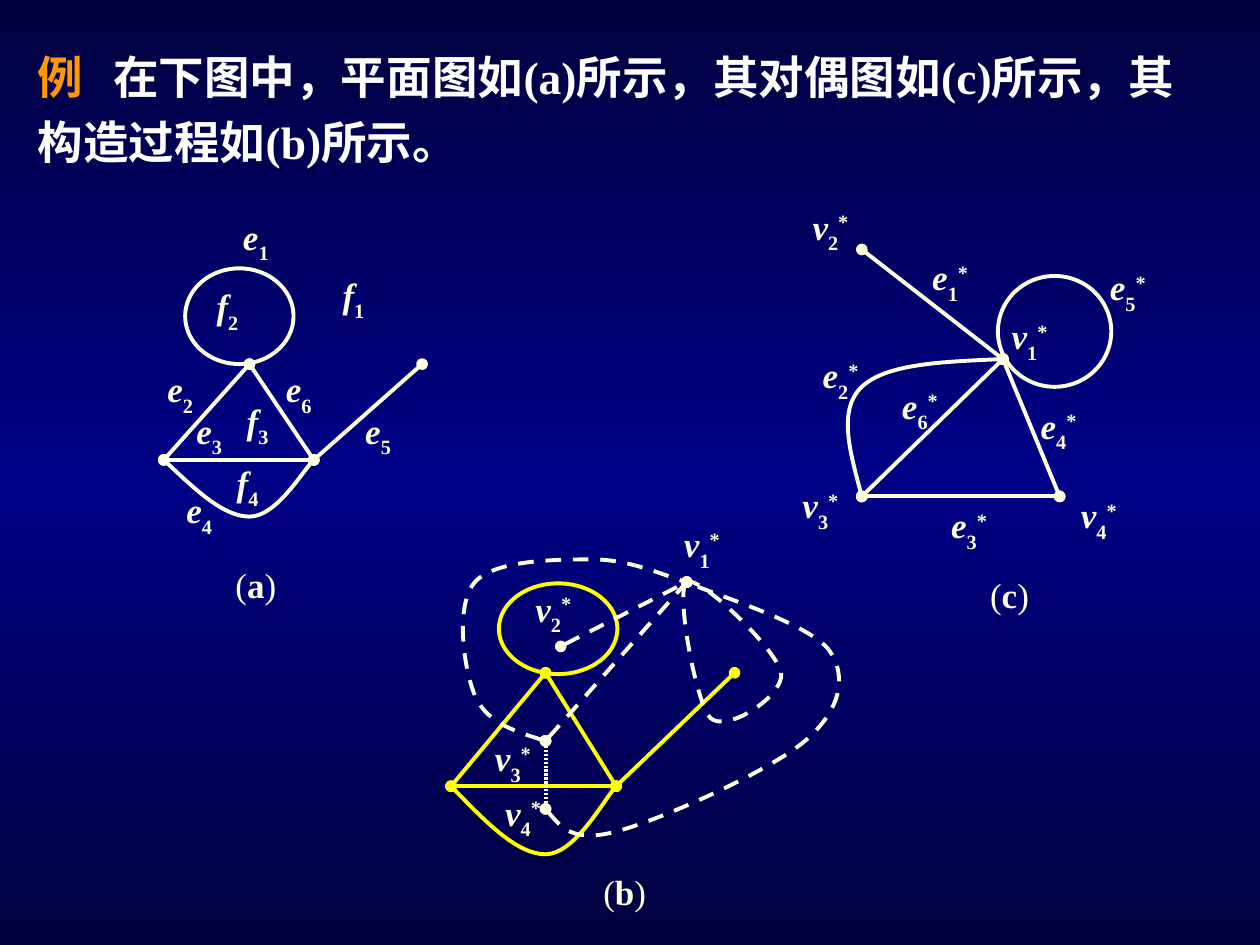
from dataclasses import dataclass
from copy import deepcopy
from lxml.etree import SubElement
from pptx import Presentation
from pptx.dml.color import RGBColor
from pptx.enum.dml import MSO_LINE_DASH_STYLE as Dash
from pptx.enum.shapes import MSO_CONNECTOR as Connector, MSO_SHAPE as Shape
from pptx.enum.text import MSO_ANCHOR as Anchor, MSO_AUTO_SIZE as AutoSize, PP_ALIGN as Align
from pptx.oxml.ns import qn
from pptx.util import Inches, Pt


@dataclass(frozen=True)
class Theme:
    font: str = "Times New Roman"
    title_size: int = 26
    label_size: int = 20
    line_width: float = 2.25
    cream: str = "FFFFE1"
    yellow: str = "FFFF00"
    orange: str = "FF9900"
    white: str = "FFFFFF"
    background: tuple = ("00003E", "000086", "00003E")


THEME = Theme()
COLUMNS, ROWS = 100, 75
CELL = Inches(0.1)
FINE_DOTS = "fine dots"


def color(name):
    return RGBColor.from_string(name)


def format_paragraph(paragraph, size, shade, bold):
    font = paragraph.font
    font.name, font.size, font.bold = THEME.font, Pt(size), bold
    font.color.rgb = color(shade)


def style_line(shape, shade, dash=None, ends=False):
    shape.line.color.rgb = color(shade)
    shape.line.width = Pt(THEME.line_width)
    properties = shape.element.spPr
    line = properties.find(qn("a:ln"))
    if dash == FINE_DOTS:
        pattern = SubElement(line, qn("a:custDash"))
        SubElement(pattern, qn("a:ds"), d="60000", sp="40000")
    elif dash:
        shape.line.dash_style = dash
    if ends:
        for end in ("a:headEnd", "a:tailEnd"):
            SubElement(line, qn(end), type="oval")
    if properties.find(qn("a:effectLst")) is None:
        SubElement(properties, qn("a:effectLst"))


def bend_segments(shape):
    outline = next(shape.element.iter(qn("a:path")))
    segments = outline.findall(qn("a:lnTo"))
    for index in range(0, len(segments), 3):
        bend = outline.makeelement(qn("a:cubicBezTo"))
        segments[index].addprevious(bend)
        for segment in segments[index:index + 3]:
            bend.append(segment[0])
            outline.remove(segment)


class Panel:
    def __init__(self, slide, column, row):
        self.column, self.row = column, row
        self.shapes = slide.shapes.add_group_shape().shapes

    def place(self, x, y):
        return round((self.column + x) * CELL), round((self.row + y) * CELL)

    def edge(self, start, end, shade=THEME.cream, dash=None):
        connector = self.shapes.add_connector(
            Connector.STRAIGHT, *self.place(*start), *self.place(*end))
        style_line(connector, shade, dash, ends=True)

    def loop(self, x, y, width, height, shade=THEME.cream):
        ellipse = self.shapes.add_shape(
            Shape.OVAL, *self.place(x, y), round(width * CELL), round(height * CELL))
        ellipse.fill.background()
        style_line(ellipse, shade)

    def curve(self, start, *controls, shade=THEME.cream, dash=None):
        closed = controls[-1] == start
        builder = self.shapes.build_freeform(*self.place(*start))
        builder.add_line_segments([self.place(*point) for point in controls], close=closed)
        shape = builder.convert_to_shape()
        bend_segments(shape)
        shape.fill.background()
        style_line(shape, shade, dash, ends=not closed)

    def text_line(self, x, y, width, height, bold):
        box = self.shapes.add_textbox(
            *self.place(x, y), round(width * CELL), round(height * CELL))
        box.text_frame.word_wrap = False
        box.text_frame.auto_size = AutoSize.SHAPE_TO_FIT_TEXT
        paragraph = box.text_frame.paragraphs[0]
        format_paragraph(paragraph, THEME.label_size, THEME.cream, bold)
        return paragraph

    def labels(self, positions):
        for symbol, (x, y) in positions.items():
            width = 5.2 if symbol.endswith("*") else 4.5 if symbol[0] == "f" else 4.8
            paragraph = self.text_line(x, y, width, 5, True)
            for character, baseline in zip(symbol, (0, -30000, 30000)):
                run = paragraph.add_run()
                run.text = character
                run.font.italic = baseline == 0
                if baseline:
                    run._r.get_or_add_rPr().set("baseline", str(baseline))

    def caption(self, letter, x, y):
        paragraph = self.text_line(x, y, 5.6, 4.4, False)
        for character in f"({letter})":
            run = paragraph.add_run()
            run.text = character
            run.font.bold = character == letter


def draw_plane_graph(panel, apex, left, right, leaf, loop, drop, shade):
    panel.loop(*loop, shade)
    for start, end in ((apex, left), (left, right), (apex, right), (right, leaf)):
        panel.edge(start, end, shade)
    base = left[1]
    bottom = apex[0], base + drop
    fall, rise = apex[0] - left[0], right[0] - apex[0]
    panel.curve(
        left, (left[0] + 0.35 * fall, base + drop / 2), (left[0] + 0.7 * fall, bottom[1]), bottom,
        (apex[0] + 0.39 * rise, bottom[1]), (apex[0] + 0.84 * rise, base + 0.18 * drop), right,
        shade=shade)


def add_plane_panel(slide, column, row):
    panel = Panel(slide, column, row)
    draw_plane_graph(panel, (7.8, 12.9), (1, 20.5), (12.9, 20.5), (21.5, 12.9),
                     (2.7, 5.3, 8.6, 7.6), 4.5, THEME.cream)
    panel.labels({
        "f1": (14.2, 5.2), "f2": (4.2, 6.1), "f3": (6.6, 15.2), "f4": (5.8, 20.1),
        "e1": (6.3, 0.6), "e2": (0.3, 12.7), "e3": (2.6, 16), "e4": (1.8, 22.3),
        "e5": (16, 16), "e6": (9.7, 12.7)})
    panel.caption("a", 5.7, 28.2)


def add_dual_panel(slide, column, row):
    panel = Panel(slide, column, row)
    v1, v2, v3, v4 = (17.6, 13.5), (6.4, 4.8), (6.4, 24.4), (22.1, 24.4)
    for start, end in ((v1, v3), (v1, v4), (v3, v4), (v2, v1)):
        panel.edge(start, end)
    panel.curve(v3, (5.5, 21), (4.5, 17.5), (6.4, 15.7), (8.3, 13.9), (12.9, 13.7), v1)
    panel.loop(17.2, 6.9, 9, 8.8)
    panel.labels({
        "v1*": (17.3, 9.5), "v2*": (1.5, 0.8), "v3*": (0.7, 22.9), "v4*": (22.8, 23.7),
        "e1*": (11, 4.8), "e2*": (2.3, 12.6), "e3*": (12.5, 24.5), "e4*": (19.6, 16.6),
        "e5*": (25.1, 5.6), "e6*": (8.6, 15)})
    panel.caption("c", 15.6, 30)


def add_construction_panel(slide, column, row):
    panel = Panel(slide, column, row)
    draw_plane_graph(panel, (8.3, 13.4), (0.8, 22.4), (13.9, 22.4), (23.3, 13.4),
                     (4.6, 6.3, 9.4, 7.2), 5.4, THEME.yellow)
    v1, v2, v3, v4 = (19.5, 6.2), (9.5, 11.3), (8.3, 18.8), (8.3, 24.2)
    panel.edge(v3, v1, dash=Dash.DASH)
    panel.edge(v3, v4, dash=FINE_DOTS)
    dual_curves = (
        (v1, (18.6, 6.8), (20.2, 15.8), (21.4, 17), (22.7, 18.2), (27.3, 15.2), (27, 13.4),
         (26.7, 11.6), (20.5, 5.6), v1),
        (v4, (9.4, 25.5), (10.5, 26.9), (13.9, 26), (17.4, 25.1), (26.1, 21.2), (28.9, 18.8),
         (31.7, 16.4), (32.3, 13.7), (30.8, 11.6), (29.2, 9.5), (21.4, 7.1), v1),
        (v3, (6, 18.1), (3.6, 17.3), (2.7, 15.2), (1.8, 13.1), (1.1, 8), (2.7, 6.2),
         (4.3, 4.4), (9.3, 4.4), (12.1, 4.4), (14.9, 4.4), (18.3, 5.9), v1))
    for points in dual_curves:
        panel.curve(*points, dash=Dash.DASH)
    panel.edge(v2, v1, dash=Dash.DASH)
    panel.labels({"v1*": (18.3, 1), "v2*": (6.5, 6.1), "v3*": (3.3, 18), "v4*": (4.1, 22.3)})
    panel.caption("b", 11.9, 28.6)


def add_title(slide, column, row, width, height):
    title = slide.shapes.title
    title.left, title.top = round(column * CELL), round(row * CELL)
    title.width, title.height = round(width * CELL), round(height * CELL)
    frame = title.text_frame
    frame.word_wrap, frame.auto_size = True, AutoSize.NONE
    frame.vertical_anchor = Anchor.TOP
    paragraph = frame.paragraphs[0]
    paragraph.alignment, paragraph.line_spacing = Align.LEFT, 1.2
    tabs = SubElement(paragraph._p.get_or_add_pPr(), qn("a:tabLst"))
    SubElement(tabs, qn("a:tab"), pos=str(6 * CELL), algn="l")
    format_paragraph(paragraph, THEME.title_size, THEME.white, True)
    example = paragraph.add_run()
    example.text = "例"
    example.font.color.rgb = color(THEME.orange)
    statement = paragraph.add_run()
    statement.text = "\t在下图中，平面图如(a)所示，其对偶图如(c)所示，其构造过程如(b)所示。"


def paint_background(slide):
    fill = slide.background.fill
    fill.gradient()
    fill.gradient_angle = 90
    stops = next(slide.element.iter(qn("a:gsLst")))
    stops.append(deepcopy(stops[0]))
    for index, (stop, shade) in enumerate(zip(fill.gradient_stops, THEME.background)):
        stop.position = index / 2
        stop.color.rgb = color(shade)


def main():
    presentation = Presentation()
    presentation.slide_width, presentation.slide_height = COLUMNS * CELL, ROWS * CELL
    slide = presentation.slides.add_slide(presentation.slide_layouts[5])
    paint_background(slide)
    add_title(slide, 2, 2.5, 93.7, 11.4)
    add_plane_panel(slide, 12, 16)
    add_dual_panel(slide, 62, 15)
    add_construction_panel(slide, 35, 40)
    presentation.save("out.pptx")


if __name__ == "__main__":
    main()
